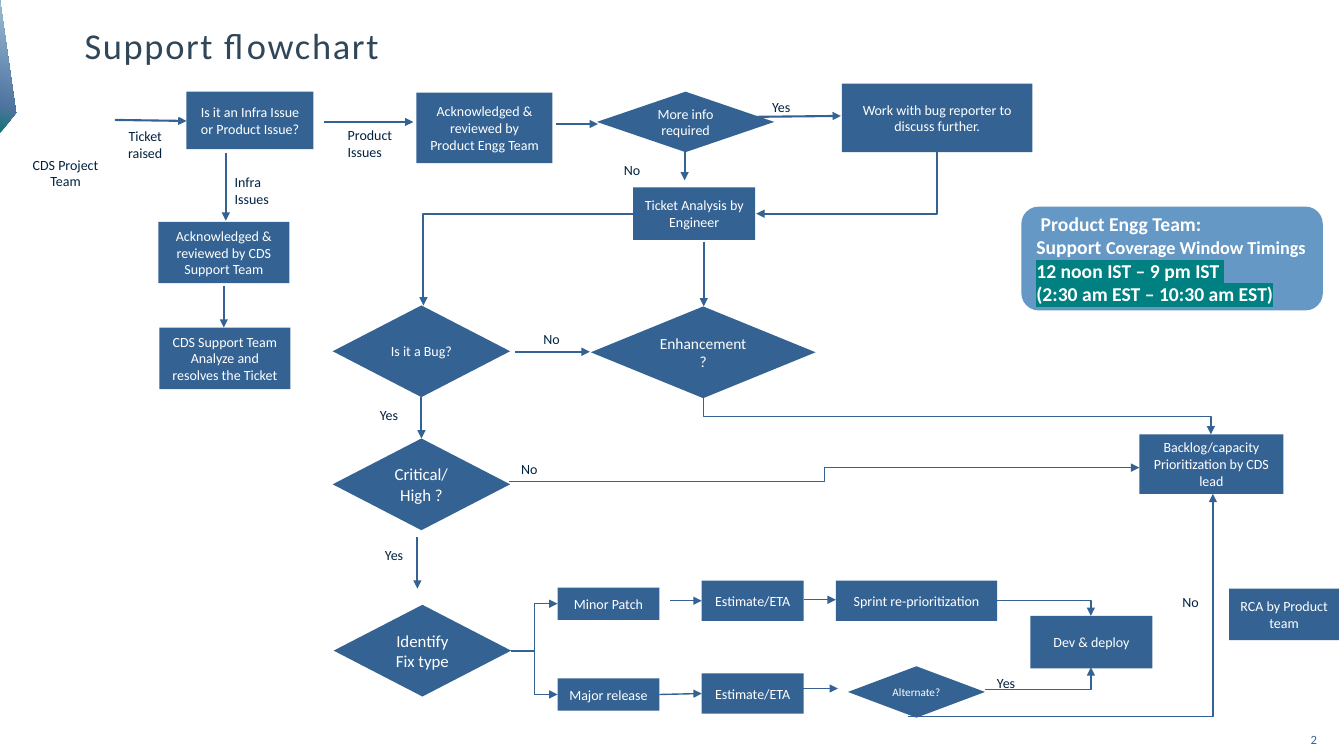
"""Build the support flowchart slide."""
from dataclasses import dataclass

from lxml import etree
from pptx import Presentation
from pptx.dml.color import RGBColor
from pptx.enum.shapes import MSO_CONNECTOR, MSO_SHAPE
from pptx.enum.text import MSO_ANCHOR, PP_ALIGN
from pptx.oxml import parse_xml
from pptx.oxml.ns import nsdecls, qn
from pptx.util import Inches, Pt

RECT = MSO_SHAPE.RECTANGLE
ROUND = MSO_SHAPE.ROUNDED_RECTANGLE
CHOICE = MSO_SHAPE.FLOWCHART_DECISION
WEDGE = MSO_SHAPE.ISOSCELES_TRIANGLE
LINE = MSO_CONNECTOR.STRAIGHT
ELBOW = MSO_CONNECTOR.ELBOW
LEFT, MID = PP_ALIGN.LEFT, PP_ALIGN.CENTER
TOP, CENTER = MSO_ANCHOR.TOP, MSO_ANCHOR.MIDDLE

BLUE = RGBColor(0x34, 0x63, 0x93)
SKY = RGBColor(0x65, 0x98, 0xC4)
TEAL = RGBColor(0x00, 0x80, 0x80)
NAVY = RGBColor(0x00, 0x22, 0x40)
SLATE = RGBColor(0x30, 0x46, 0x59)
WHITE = RGBColor(0xFF, 0xFF, 0xFF)
FADE = ((0, RGBColor(0x13, 0x74, 0x74)), (21, RGBColor(0x4F, 0x74, 0xA0)),
        (100, RGBColor(0xA0, 0xC1, 0xD6)))


@dataclass
class Box:
    text: str
    x: float
    y: float
    w: float
    h: float
    kind: int = RECT
    size: float = 10
    fill: RGBColor = BLUE


@dataclass
class Note:
    text: str
    x: float
    y: float
    w: float = 0.84
    h: float = 0.23
    align: int = LEFT
    size: float = 10
    color: RGBColor = NAVY
    anchor: int = TOP


@dataclass
class Link:
    x1: float
    y1: float
    x2: float
    y2: float
    width: float = 1.5
    bend: str = ""


BOXES = [
    Box("Is it an Infra Issue or Product Issue?", 1.85, 0.91, 1.26, 0.57),
    Box("Work with bug reporter to discuss further.", 8.35, 0.83, 1.89, 0.68),
    Box("More info required", 5.92, 0.91, 1.76, 0.6, CHOICE),
    Box("Acknowledged & reviewed by Product Engg Team", 4.13, 0.92, 1.35, 0.7),
    Box("Ticket Analysis by Engineer", 6.28, 1.86, 1.21, 0.52),
    Box("Is it a Bug?", 3.3, 3.03, 1.76, 0.91, CHOICE),
    Box("Enhancement?", 5.86, 3.04, 2.23, 0.91, CHOICE, 11),
    Box("Critical/\nHigh ?", 3.3, 4.35, 1.76, 0.91, CHOICE, 12),
    Box("Backlog/capacity Prioritization by CDS lead", 11.3, 4.31, 1.43, 0.59),
    Box("Identify Fix type", 3.31, 6, 1.76, 0.91, CHOICE, 12),
    Box("Minor Patch", 5.53, 5.83, 1.01, 0.32),
    Box("Major release", 5.53, 6.73, 1.01, 0.32),
    Box("Estimate/ETA", 6.96, 5.76, 1.01, 0.4),
    Box("Sprint re-prioritization", 8.29, 5.76, 1.6, 0.4),
    Box("Estimate/ETA", 6.96, 6.68, 1.01, 0.4),
    Box("RCA by Product team", 12.19, 5.84, 1.09, 0.51),
    Box("Dev & deploy", 10.22, 6.11, 1.21, 0.52),
    Box("Alternate?", 8.41, 6.61, 1.36, 0.51, CHOICE, 8),
    Box("Acknowledged & reviewed by CDS Support Team", 1.57, 2.2, 1.3, 0.61),
    Box("CDS Support Team Analyze and resolves the Ticket", 1.58, 3.25, 1.3, 0.61),
]

LINKS = [
    Link(1.14, 1.19, 1.85, 1.2),
    Link(5.51, 1.23, 5.93, 1.23),
    Link(7.43, 1.16, 8.34, 1.15),
    Link(6.79, 1.37, 6.79, 1.79),
    Link(9.29, 1.51, 7.5, 2.12, bend="vh"),
    Link(2.24, 1.52, 2.24, 2.19),
    Link(6.98, 2.4, 6.98, 3.04),
    Link(4.14, 5.33, 4.14, 5.84),
    Link(4.18, 3.94, 4.18, 4.35),
    Link(5.11, 3.49, 5.85, 3.49),
    Link(5.05, 4.78, 11.3, 4.64, 1, "hvh"),
    Link(6.98, 3.95, 12.01, 4.31, 1, "vhv"),
    Link(5.07, 6.46, 5.53, 5.99, 1, "hvh"),
    Link(5.07, 6.46, 5.53, 6.89, 1, "hvh"),
    Link(6.65, 5.96, 6.96, 5.96, 1),
    Link(6.54, 6.89, 6.96, 6.88, 1),
    Link(9.89, 5.96, 10.82, 6.11, 1, "hv"),
    Link(9.77, 6.84, 10.82, 6.62, 1, "hv"),
    Link(7.91, 6.83, 8.31, 6.83, 1),
    Link(9.01, 7.11, 12.03, 4.9, 1, "hv"),
    Link(3.21, 1.21, 4.1, 1.21),
    Link(2.22, 2.84, 2.22, 3.25),
    Link(6.28, 2.12, 4.2, 3.03, bend="hv"),
    Link(7.97, 5.95, 8.29, 5.95, 1),
]

NOTES = [
    Note("CDS Project Team", 0.15, 1.5, 1, 0.29, MID),
    Note("Ticket raised", 1.03, 1.22, 0.82, 0.32, MID),
    Note("Product Issues", 3.35, 1.21, 0.81, 0.35),
    Note("Infra Issues", 2.23, 1.67, 0.73, 0.32),
    *[Note("Yes", x, y) for x, y in
      ((7.56, 0.93), (3.72, 5.37), (9.79, 6.64), (3.67, 3.98))],
    *[Note("No", x, y, 0.56, 0.22) for x, y in
      ((6.09, 1.55), (5.29, 3.23), (5.07, 4.52), (11.63, 5.84))],
    Note("2", 12.77, 7.25, 0.52, 0.17, MID, 9, BLUE, CENTER),
]
TITLE = Note("Support flowchart", 0.74, 0.24, 11.91, 0.42, LEFT, 26, SLATE, CENTER)
HOURS = Box(" Product Engg Team:\nSupport \n12 noon IST – 9 pm IST \n"
            "(2:30 am EST – 10:30 am EST)", 10.13, 2.05, 2.99, 1.03, ROUND, 14, SKY)


def style(font, size: float, color: RGBColor, bold: bool = False) -> None:
    font.name, font.size, font.bold = "Calibri", Pt(size), bold
    font.color.rgb = color


def write(shape, text: str, size: float, color: RGBColor, align: int,
          anchor: int, bold: bool = False) -> None:
    frame = shape.text_frame
    frame.text = text
    frame.word_wrap = True
    frame.vertical_anchor = anchor
    for para in frame.paragraphs:
        para.alignment = align
        for run in para.runs:
            style(run.font, size, color, bold)


def add_box(slide, box: Box, align: int = MID, bold: bool = False):
    shape = slide.shapes.add_shape(
        box.kind, *map(Inches, (box.x, box.y, box.w, box.h)))
    shape.shadow.inherit = False
    shape.fill.solid()
    shape.fill.fore_color.rgb = box.fill
    shape.line.fill.background()
    write(shape, box.text, box.size, WHITE, align, CENTER, bold)
    return shape


def add_note(slide, note: Note):
    shape = slide.shapes.add_textbox(
        *map(Inches, (note.x, note.y, note.w, note.h)))
    write(shape, note.text, note.size, note.color, note.align, note.anchor)
    return shape


def add_link(slide, link: Link) -> None:
    ends = link.x1, link.y1, link.x2, link.y2
    turn = link.bend.startswith("v")
    if turn:
        mx, my = (link.x1 + link.x2) / 2, (link.y1 + link.y2) / 2
        dx, dy = (link.x2 - link.x1) / 2, (link.y2 - link.y1) / 2
        ends = mx - dy, my + dx, mx + dy, my - dx
    wire = slide.shapes.add_connector(
        ELBOW if link.bend else LINE, *map(Inches, ends))
    wire.line.color.rgb = BLUE
    wire.line.width = Pt(link.width)
    props = wire._element.spPr
    if link.bend:
        props.find(qn("a:prstGeom")).set("prst", f"bentConnector{len(link.bend)}")
    if turn:
        props.find(qn("a:xfrm")).set("rot", "5400000")
    etree.SubElement(props.find(qn("a:ln")), qn("a:tailEnd"), type="triangle")
    etree.SubElement(props, qn("a:effectLst"))


def add_wedge(slide) -> None:
    shape = add_box(slide, Box("", -0.58, 0.58, 1.32, 0.16, WEDGE))
    shape.rotation = 90
    shape.adjustments[0] = 0.848
    stops = "".join(f'<a:gs pos="{pos * 1000}"><a:srgbClr val="{color}"/></a:gs>'
                    for pos, color in FADE)
    props = shape._element.spPr
    props.replace(props.find(qn("a:solidFill")), parse_xml(
        f'<a:gradFill {nsdecls("a")} rotWithShape="1"><a:gsLst>{stops}</a:gsLst>'
        '<a:lin ang="12000000" scaled="0"/></a:gradFill>'))


def add_hours(slide) -> None:
    paras = add_box(slide, HOURS, LEFT, True).text_frame.paragraphs
    run = paras[1].add_run()
    run.text = "Coverage Window Timings"
    style(run.font, 13, WHITE, True)
    for para in paras[2:]:
        fill = para.runs[0].font._element.find(qn("a:solidFill"))
        fill.addnext(parse_xml(f'<a:highlight {nsdecls("a")}>'
                               f'<a:srgbClr val="{TEAL}"/></a:highlight>'))


def main() -> None:
    deck = Presentation()
    deck.slide_width, deck.slide_height = Inches(13.33), Inches(7.5)
    slide = deck.slides.add_slide(deck.slide_layouts[6])
    add_wedge(slide)
    for draw, items in ((add_box, BOXES), (add_link, LINKS), (add_note, NOTES)):
        for item in items:
            draw(slide, item)
    title = add_note(slide, TITLE).text_frame.paragraphs[0]
    title.runs[0].font._element.set("spc", "120")
    add_hours(slide)
    deck.save("out.pptx")


if __name__ == "__main__":
    main()
